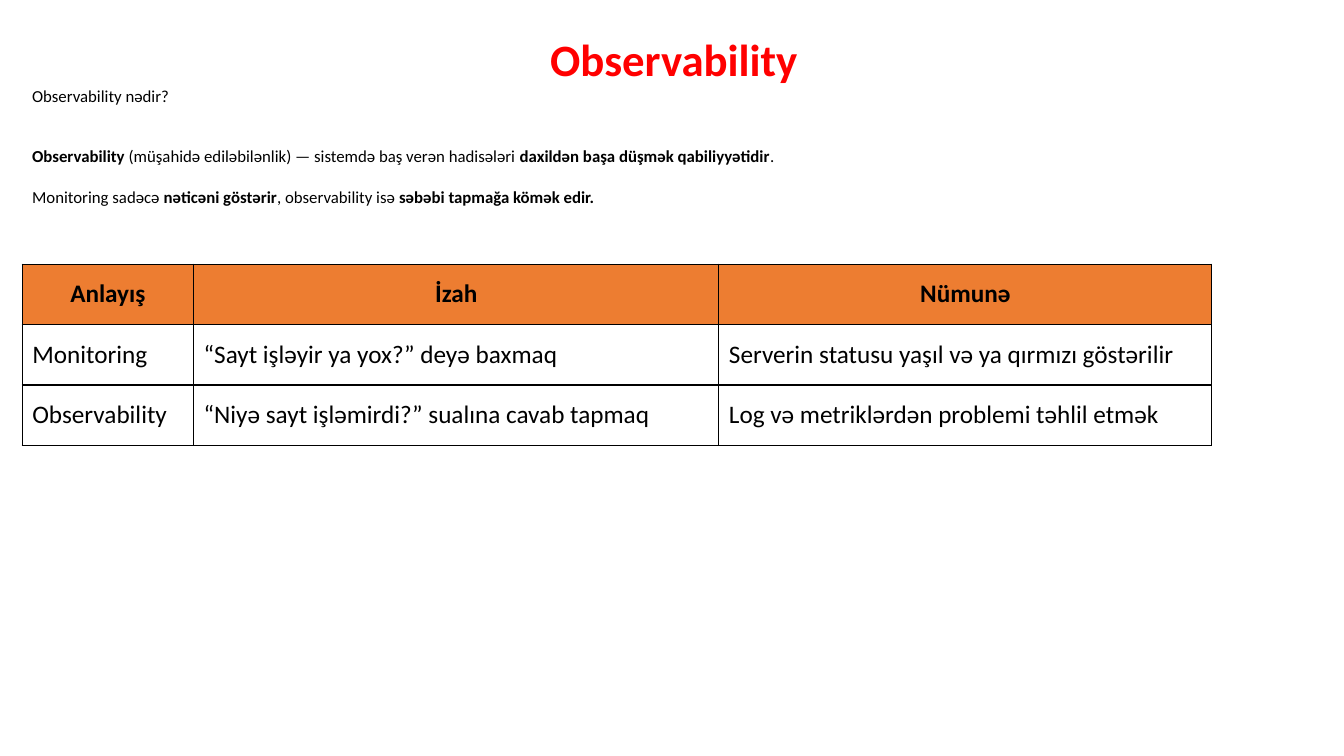
"""Build the Observability slide with its intro text and comparison table."""
from dataclasses import dataclass

from lxml.etree import SubElement
from pptx import Presentation
from pptx.dml.color import RGBColor as RGB
from pptx.enum.text import MSO_ANCHOR as Anchor, PP_ALIGN as Align
from pptx.oxml.ns import qn
from pptx.slide import Slide
from pptx.table import _Cell as Cell
from pptx.util import Inches, Pt


@dataclass(frozen=True)
class Theme:
    """Colours, font and type sizes."""
    font: str = "Calibri"
    title: RGB = RGB(0xFF, 0x00, 0x00)
    ink: RGB = RGB(0x00, 0x00, 0x00)
    header: RGB = RGB(0xED, 0x7D, 0x31)
    title_size: int = 32
    body_size: int = 12
    table_size: int = 18


@dataclass(frozen=True)
class Span:
    """A stretch of text of one weight."""
    text: str
    bold: bool = False


@dataclass(frozen=True)
class Line:
    """A paragraph with its look and the gap above it in points."""
    spans: tuple[Span, ...]
    size: int
    color: RGB
    align: Align = Align.LEFT
    gap: float = 0


THEME = Theme()
INTRO = (
    Line((Span("Observability", True),), THEME.title_size, THEME.title, Align.CENTER),
    Line((Span("Observability nədir?"),), THEME.body_size, THEME.ink),
    Line((Span("Observability", True),
          Span(" (müşahidə ediləbilənlik) — sistemdə baş verən hadisələri "),
          Span("daxildən başa düşmək qabiliyyətidir", True),
          Span(".")), THEME.body_size, THEME.ink, gap=28.5),
    Line((Span("Monitoring sadəcə "),
          Span("nəticəni göstərir", True),
          Span(", observability isə "),
          Span("səbəbi tapmağa kömək edir.", True)), THEME.body_size, THEME.ink, gap=14.5),
)
COLUMN_WIDTHS = (1.7, 5.21, 4.89)
ROW_HEIGHT = 0.6
ROWS = (
    ("Anlayış", "İzah", "Nümunə"),
    ("Monitoring", "“Sayt işləyir ya yox?” deyə baxmaq",
     "Serverin statusu yaşıl və ya qırmızı göstərilir"),
    ("Observability", "“Niyə sayt işləmirdi?” sualına cavab tapmaq",
     "Log və metriklərdən problemi təhlil etmək"),
)


def write_line(p, line: Line) -> None:
    """Fill a paragraph from its description."""
    p.alignment = line.align
    p.space_before = Pt(line.gap)
    p.font.name = THEME.font
    p.font.size = Pt(line.size)
    p.font.color.rgb = line.color
    for span in line.spans:
        r = p.add_run()
        r.text = span.text
        r.font.bold = span.bold


def add_intro(s: Slide) -> None:
    """Add the title and introductory lines in one text box."""
    sp = s.shapes.add_textbox(Inches(0.22), Inches(0.27), Inches(12.93), Inches(2.05))
    tf = sp.text_frame
    tf.word_wrap = True
    for i, line in enumerate(INTRO):
        write_line(tf.add_paragraph() if i else tf.paragraphs[0], line)


def set_borders(cell: Cell) -> None:
    """Put a thin line on all four sides of a cell."""
    props = cell._tc.get_or_add_tcPr()
    for i, side in enumerate(("a:lnL", "a:lnR", "a:lnT", "a:lnB")):
        ln = props.makeelement(qn(side), {"w": str(Pt(1))})
        props.insert(i, ln)
        fill = SubElement(ln, qn("a:solidFill"))
        SubElement(fill, qn("a:srgbClr"), val=str(THEME.ink))


def add_comparison(s: Slide) -> None:
    """Add the table comparing monitoring with observability."""
    table = s.shapes.add_table(
        len(ROWS), len(COLUMN_WIDTHS), Inches(0.22), Inches(2.62),
        Inches(sum(COLUMN_WIDTHS)), Inches(ROW_HEIGHT * len(ROWS))).table
    table.horz_banding = False
    for column, width in zip(table.columns, COLUMN_WIDTHS):
        column.width = Inches(width)
    for i, row in enumerate(ROWS):
        is_header = i == 0
        align = Align.CENTER if is_header else Align.LEFT
        for j, text in enumerate(row):
            cell = table.cell(i, j)
            cell.vertical_anchor = Anchor.MIDDLE
            if is_header:
                cell.fill.solid()
                cell.fill.fore_color.rgb = THEME.header
            else:
                cell.fill.background()
            set_borders(cell)
            write_line(cell.text_frame.paragraphs[0],
                       Line((Span(text, is_header),), THEME.table_size, THEME.ink, align))


def main() -> None:
    """Build and save the presentation."""
    prs = Presentation()
    prs.slide_width, prs.slide_height = Inches(13.33), Inches(7.5)
    s = prs.slides.add_slide(prs.slide_layouts[6])
    add_intro(s)
    add_comparison(s)
    prs.save("out.pptx")


if __name__ == "__main__":
    main()
